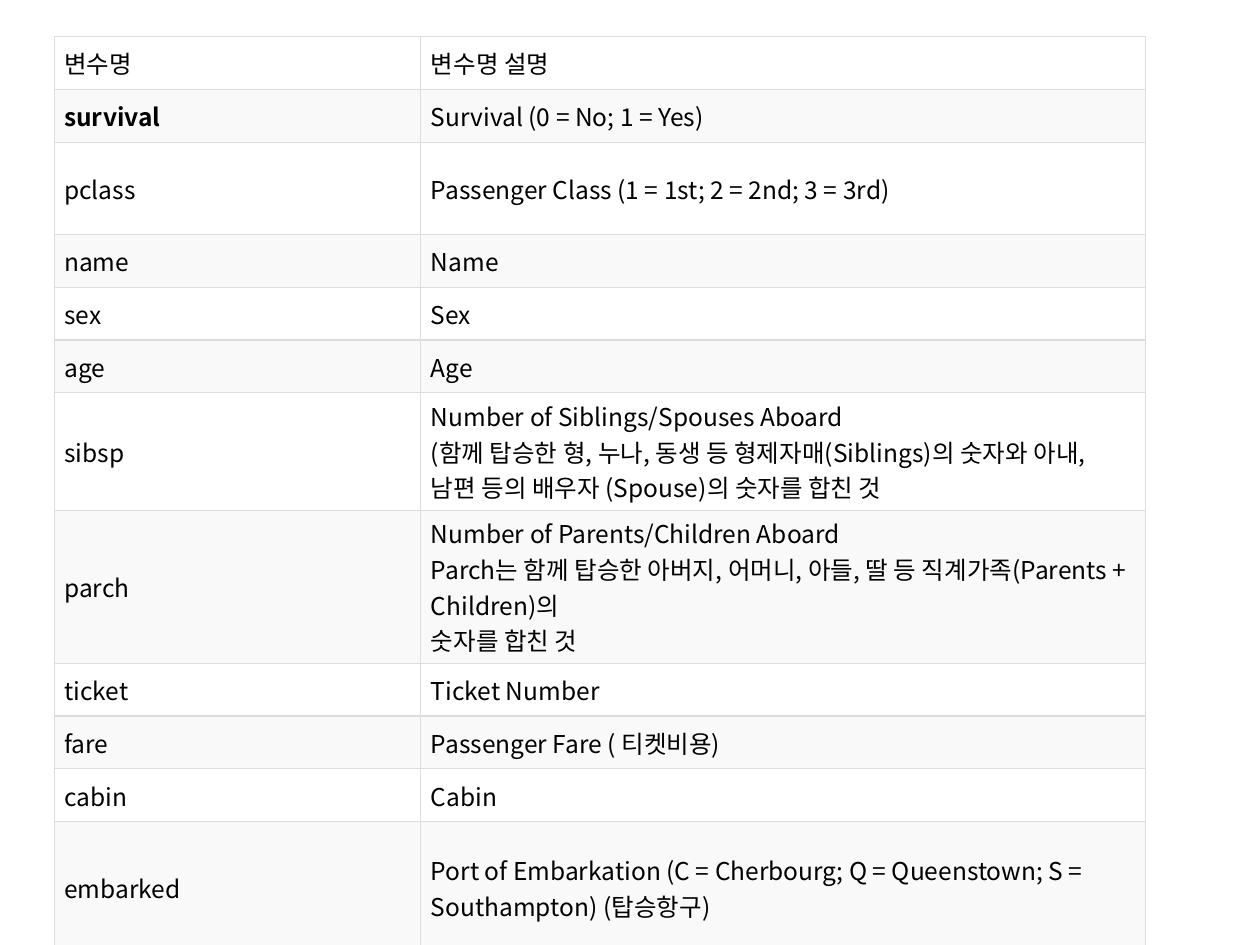
from dataclasses import dataclass

from lxml.etree import SubElement
from pptx import Presentation
from pptx.dml.color import RGBColor
from pptx.enum.text import MSO_ANCHOR
from pptx.oxml.ns import qn
from pptx.util import Inches, Pt


@dataclass(frozen=True)
class Theme:
    font: str = "Noto Sans CJK KR"
    size: int = 14
    text: str = "000000"
    border: str = "DDDDDD"
    border_width: float = 0.75
    bands: tuple = ("FFFFFF", "F9F9F9")


THEME = Theme()
COLUMN_WIDTHS = (2.91, 5.75)

# Row height, variable name, paragraphs of its description
VARIABLES = [
    (0.42, "변수명", ["변수명 설명"]),
    (0.42, "survival", ["Survival (0 = No; 1 = Yes)"]),
    (0.73, "pclass", ["Passenger Class (1 = 1st; 2 = 2nd; 3 = 3rd)"]),
    (0.42, "name", ["Name"]),
    (0.42, "sex", ["Sex"]),
    (0.42, "age", ["Age"]),
    (0.73, "sibsp", [
        "Number of Siblings/Spouses Aboard",
        "(함께 탑승한 형, 누나, 동생 등 형제자매(Siblings)의 숫자와 "
        "아내, 남편 등의 배우자 (Spouse)의 숫자를 합친 것",
    ]),
    (0.73, "parch", [
        "Number of Parents/Children Aboard",
        "Parch는 함께 탑승한 아버지, 어머니, 아들, 딸 등 "
        "직계가족(Parents + Children)의 ",
        "숫자를 합친 것",
    ]),
    (0.42, "ticket", ["Ticket Number"]),
    (0.42, "fare", ["Passenger Fare ( 티켓비용)"]),
    (0.42, "cabin", ["Cabin"]),
    (1.05, "embarked", [
        "Port of Embarkation (C = Cherbourg; Q = Queenstown; "
        "S = Southampton) (탑승항구)",
    ]),
]


def add_run(p, text, bold=False):
    r = p.add_run()
    r.text = text
    r.font.name = THEME.font
    r.font.size = Pt(THEME.size)
    r.font.bold = bold
    r.font.color.rgb = RGBColor.from_string(THEME.text)
    # East Asian typeface for the Korean text
    SubElement(r.font._element, qn("a:ea"), typeface=THEME.font)


def set_borders(cell):
    tc_pr = cell._tc.get_or_add_tcPr()
    for i, side in enumerate(("a:lnL", "a:lnR", "a:lnT", "a:lnB")):
        ln = tc_pr.makeelement(qn(side), {"w": str(Pt(THEME.border_width))})
        fill = SubElement(ln, qn("a:solidFill"))
        SubElement(fill, qn("a:srgbClr"), val=THEME.border)
        tc_pr.insert(i, ln)


def fill_cell(cell, paragraphs, color, bold=False):
    cell.fill.solid()
    cell.fill.fore_color.rgb = RGBColor.from_string(color)
    cell.vertical_anchor = MSO_ANCHOR.MIDDLE
    cell.margin_left = cell.margin_right = Inches(0.08)
    cell.margin_top = cell.margin_bottom = Inches(0.04)
    set_borders(cell)
    tf = cell.text_frame
    for i, text in enumerate(paragraphs):
        p = tf.add_paragraph() if i else tf.paragraphs[0]
        add_run(p, text, bold)


def add_variable_table(s, left, top):
    width = sum(COLUMN_WIDTHS)
    height = sum(row[0] for row in VARIABLES)
    table = s.shapes.add_table(
        len(VARIABLES), len(COLUMN_WIDTHS),
        Inches(left), Inches(top), Inches(width), Inches(height),
    ).table
    table.first_row = table.horz_banding = False
    for column, column_width in zip(table.columns, COLUMN_WIDTHS):
        column.width = Inches(column_width)
    for i, (row_height, name, description) in enumerate(VARIABLES):
        table.rows[i].height = Inches(row_height)
        band = THEME.bands[i % 2]
        fill_cell(table.cell(i, 0), [name], band, bold=name == "survival")
        fill_cell(table.cell(i, 1), description, band)


def main():
    prs = Presentation()
    prs.slide_width, prs.slide_height = Inches(10), Inches(7.5)
    s = prs.slides.add_slide(prs.slide_layouts[6])
    # Table of variables and their descriptions
    add_variable_table(s, 0.43, 0.29)
    prs.save("out.pptx")


main()
